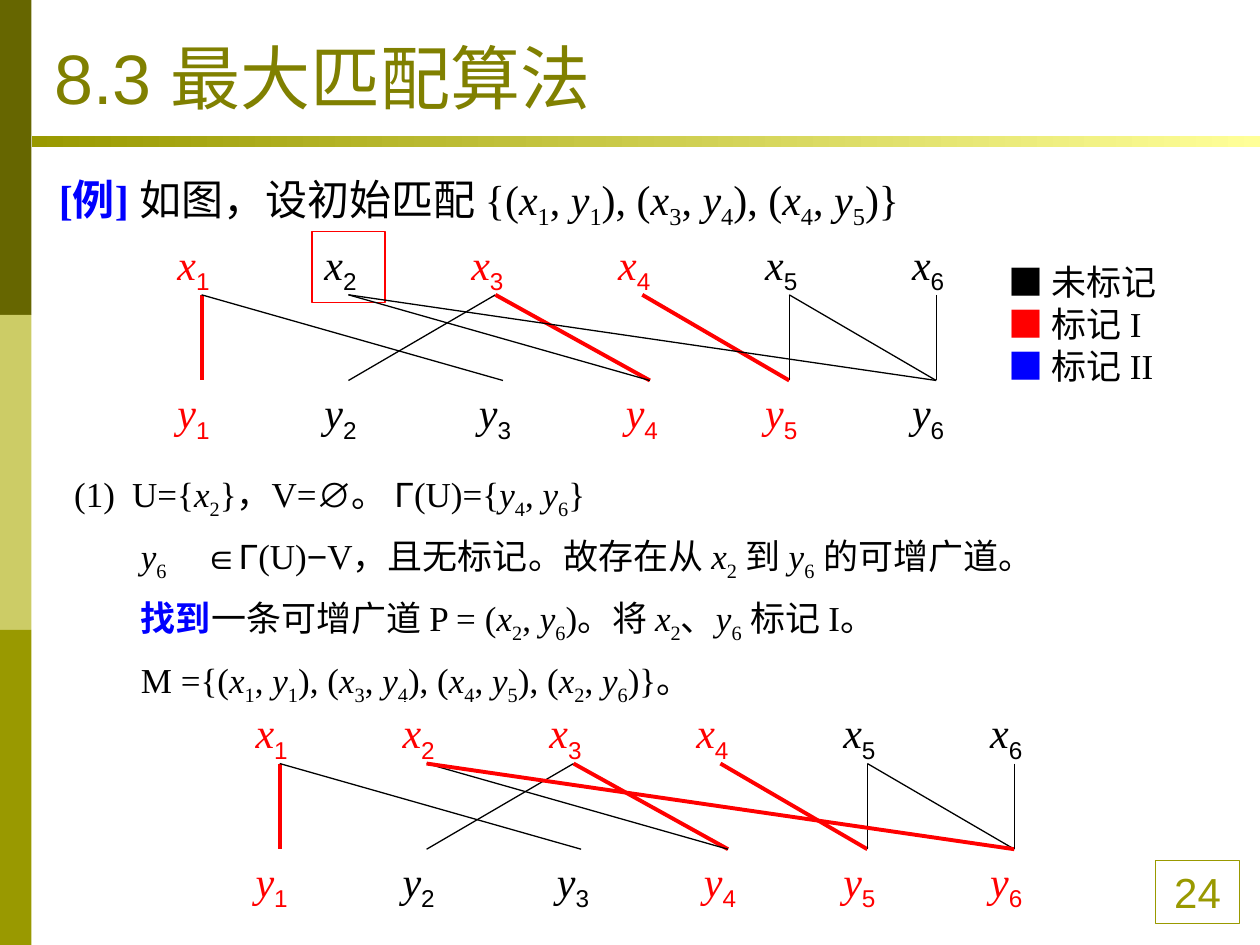
from dataclasses import dataclass
from itertools import groupby
from typing import Iterator

from lxml.etree import SubElement
from pptx import Presentation
from pptx.dml.color import RGBColor
from pptx.enum.shapes import MSO_CONNECTOR, MSO_SHAPE
from pptx.enum.text import MSO_ANCHOR, MSO_AUTO_SIZE, PP_ALIGN
from pptx.oxml.ns import qn
from pptx.util import Inches, Pt


@dataclass(frozen=True)
class Theme:
    black: str = "000000"
    white: str = "FFFFFF"
    red: str = "FF0000"
    blue: str = "0000FF"
    olive: str = "999900"
    dark_olive: str = "666600"
    light_olive: str = "CCCC66"
    pale_yellow: str = "FFFF99"
    title: str = "808000"
    sans: str = "Arial"
    serif: str = "Times New Roman"
    title_size: int = 40
    large_size: int = 24
    body_size: int = 20
    thin: float = 0.75
    thick: float = 2.25


@dataclass(frozen=True)
class MatchingGraph:
    left: float
    top: float
    marked: set[str]
    matching: set[tuple[int, int]]
    x2_outline: str


@dataclass(frozen=True)
class Step:
    markup: str
    margin: float = 0.67
    indent: float = -0.67


THEME = Theme()
EDGES = [(3, 2), (5, 6), (1, 1), (1, 3), (3, 4), (2, 4), (4, 5), (5, 5), (2, 6), (6, 6)]
NODE_PITCH = 1.166
NODE_WIDTH, NODE_HEIGHT = 0.58, 0.56
EDGE_TOP, ROW_GAP = 0.5, 1.18
Y_SHIFT = {3: 0.06, 4: 0.06}  # y3 and y4 sit a little right of x3 and x4

GRAPHS = [
    MatchingGraph(1.93, 5.56, {"x1", "x2", "x3", "x4", "y1", "y4", "y5", "y6"},
                  {(1, 1), (3, 4), (4, 5), (2, 6)}, THEME.white),
    MatchingGraph(1.31, 1.84, {"x1", "x3", "x4", "y1", "y4", "y5"},
                  {(1, 1), (3, 4), (4, 5)}, THEME.red),
]

# In markup, x and y are variables, a digit after them is a subscript, *...* is strong
EXAMPLE = [Step("*[例] *如图，设初始匹配 {(x1, y1), (x3, y4), (x4, y5)}")]
STEPS = [
    Step("(1)\tU={x2}，V=∅。 Γ(U)={y4, y6}", 0.6, -0.46),
    Step("\ty6\t∈Γ(U)−V，且无标记。故存在从 x2 到 y6 的可增广道。"),
    Step("\t*找到*一条可增广道 P = (x2, y6)。将 x2、y6 标记 I。"),
    Step("\tM ={(x1, y1), (x3, y4), (x4, y5), (x2, y6)}。"),
]
LEGEND = [(THEME.black, "未标记"), (THEME.red, "标记 I"), (THEME.blue, "标记 II")]


def rgb(value: str) -> RGBColor:
    return RGBColor.from_string(value)


def style_paragraph(paragraph, size: float, font: str, color: str) -> None:
    paragraph.font.size = Pt(size)
    paragraph.font.name = font
    paragraph.font.color.rgb = rgb(color)


def set_indent(paragraph, margin: float, indent: float) -> None:
    properties = paragraph._p.get_or_add_pPr()
    properties.set("marL", str(Inches(margin)))
    properties.set("indent", str(Inches(indent)))


def add_tab_stops(paragraph) -> None:
    stops = SubElement(paragraph._p.get_or_add_pPr(), qn("a:tabLst"))
    for inch in range(8):
        SubElement(stops, qn("a:tab"), pos=str(Inches(inch)), algn="l")


def classify(markup: str) -> Iterator[tuple[str, str]]:
    """Pair each character with its role in the formula."""
    strong, previous = False, ""
    for char in markup:
        if char == "*":
            strong = not strong
            continue
        if strong:
            role = "strong"
        elif char in "xy":
            role = "variable"
        elif char.isdigit() and previous in ("x", "y"):
            role = "subscript"
        else:
            role = "symbol" if char in "∅Γ∈−" else "plain"
        yield role, char
        previous = char


def add_formula(paragraph, markup: str, subscript_font: str | None = None) -> None:
    for role, pairs in groupby(classify(markup), key=lambda pair: pair[0]):
        run = paragraph.add_run()
        run.text = "".join(char for _, char in pairs)
        if role == "variable":
            run.font.italic = True
        elif role == "subscript":
            run._r.get_or_add_rPr().set("baseline", "-25000")
            if subscript_font:
                run.font.name = subscript_font
        elif role == "symbol":
            run.font.name = THEME.sans
        elif role == "strong":
            run.font.bold = True
            run.font.color.rgb = rgb(THEME.blue)


def add_text_area(slide, left: float, top: float, width: float, height: float):
    area = slide.shapes.add_textbox(Inches(left), Inches(top), Inches(width), Inches(height))
    area.text_frame.word_wrap = True
    return area


def add_steps(slide, steps: list[Step], bounds: tuple, size: float) -> None:
    frame = add_text_area(slide, *bounds).text_frame
    for index, step in enumerate(steps):
        paragraph = frame.add_paragraph() if index else frame.paragraphs[0]
        set_indent(paragraph, step.margin, step.indent)
        add_tab_stops(paragraph)
        paragraph.line_spacing = 1.3
        style_paragraph(paragraph, size, THEME.serif, THEME.black)
        add_formula(paragraph, step.markup)


def add_block(slide, left: float, top: float, width: float, height: float,
              fill: str | None = None):
    block = slide.shapes.add_shape(MSO_SHAPE.RECTANGLE, Inches(left), Inches(top),
                                   Inches(width), Inches(height))
    block.shadow.inherit = False
    block.line.fill.background()
    if fill:
        block.fill.solid()
        block.fill.fore_color.rgb = rgb(fill)
    return block


def outline(shape, color: str, width: float = THEME.thin) -> None:
    shape.line.color.rgb = rgb(color)
    shape.line.width = Pt(width)


def add_frame(slide) -> None:
    for row, color in enumerate((THEME.dark_olive, THEME.light_olive, THEME.olive)):
        add_block(slide, 0, 2.5 * row, 0.25, 2.5, color)
    page = add_block(slide, 9.17, 6.83, 0.67, 0.5)
    page.fill.background()
    outline(page, THEME.olive)
    number = page.text_frame.paragraphs[0]
    number.text = "24"
    number.alignment = PP_ALIGN.CENTER
    style_paragraph(number, THEME.large_size, THEME.sans, THEME.olive)
    rule = add_block(slide, 0.25, 1.08, 9.75, 0.09)
    rule.fill.gradient()
    rule.fill.gradient_angle = 0
    for position, (stop, color) in enumerate(
            zip(rule.fill.gradient_stops, (THEME.olive, THEME.pale_yellow))):
        stop.position = position
        stop.color.rgb = rgb(color)


def add_graph(slide, graph: MatchingGraph) -> None:
    nodes = {}
    for row, letter in enumerate("xy"):
        for column in range(1, 7):
            name = f"{letter}{column}"
            left = graph.left + (column - 1) * NODE_PITCH + row * Y_SHIFT.get(column, 0)
            node = add_text_area(slide, left, graph.top + row * ROW_GAP,
                                 NODE_WIDTH, NODE_HEIGHT)
            label = node.text_frame.paragraphs[0]
            style_paragraph(label, THEME.large_size, THEME.serif,
                            THEME.red if name in graph.marked else THEME.black)
            add_formula(label, name, THEME.sans)
            nodes[name] = node
    outline(nodes["x2"], graph.x2_outline)

    for x, y in EDGES:
        source, target = nodes[f"x{x}"], nodes[f"y{y}"]
        edge = slide.shapes.add_connector(
            MSO_CONNECTOR.STRAIGHT, source.left + source.width // 2,
            Inches(graph.top + EDGE_TOP), target.left + target.width // 2, target.top)
        edge.end_connect(target, 0)
        matched = (x, y) in graph.matching
        outline(edge, THEME.red if matched else THEME.black,
                THEME.thick if matched else THEME.thin)
        SubElement(edge._element.spPr, qn("a:effectLst"))


def add_legend(slide) -> None:
    frame = add_text_area(slide, 7.91, 2.02, 1.57, 1.18).text_frame
    for index, (color, meaning) in enumerate(LEGEND):
        entry = frame.add_paragraph() if index else frame.paragraphs[0]
        set_indent(entry, 0.67, -0.67)
        style_paragraph(entry, THEME.body_size, THEME.serif, THEME.black)
        marker = entry.add_run()
        marker.text = "■"
        marker.font.color.rgb = rgb(color)
        entry.add_run().text = f" {meaning}"


def add_title(slide) -> None:
    title = slide.shapes.title
    title.left, title.top, title.width, title.height = map(Inches, (0.33, 0.13, 9, 0.86))
    title.text_frame.auto_size = MSO_AUTO_SIZE.NONE
    title.text_frame.vertical_anchor = MSO_ANCHOR.BOTTOM
    heading = title.text_frame.paragraphs[0]
    heading.text = "8.3 最大匹配算法"
    heading.alignment = PP_ALIGN.LEFT
    style_paragraph(heading, THEME.title_size, THEME.sans, THEME.title)


def main() -> None:
    deck = Presentation()
    deck.slide_width, deck.slide_height = Inches(10), Inches(7.5)
    slide = deck.slides.add_slide(deck.slide_layouts[5])
    # Side bands, page number and rule
    add_frame(slide)
    # Title, example and solution steps
    add_title(slide)
    add_steps(slide, EXAMPLE, (0.37, 1.19, 9.43, 0.75), THEME.large_size)
    add_steps(slide, STEPS, (0.35, 3.59, 9.43, 2.07), THEME.body_size)
    # Graphs after and before the augmentation
    for graph in GRAPHS:
        add_graph(slide, graph)
    add_legend(slide)
    deck.save("out.pptx")


if __name__ == "__main__":
    main()
